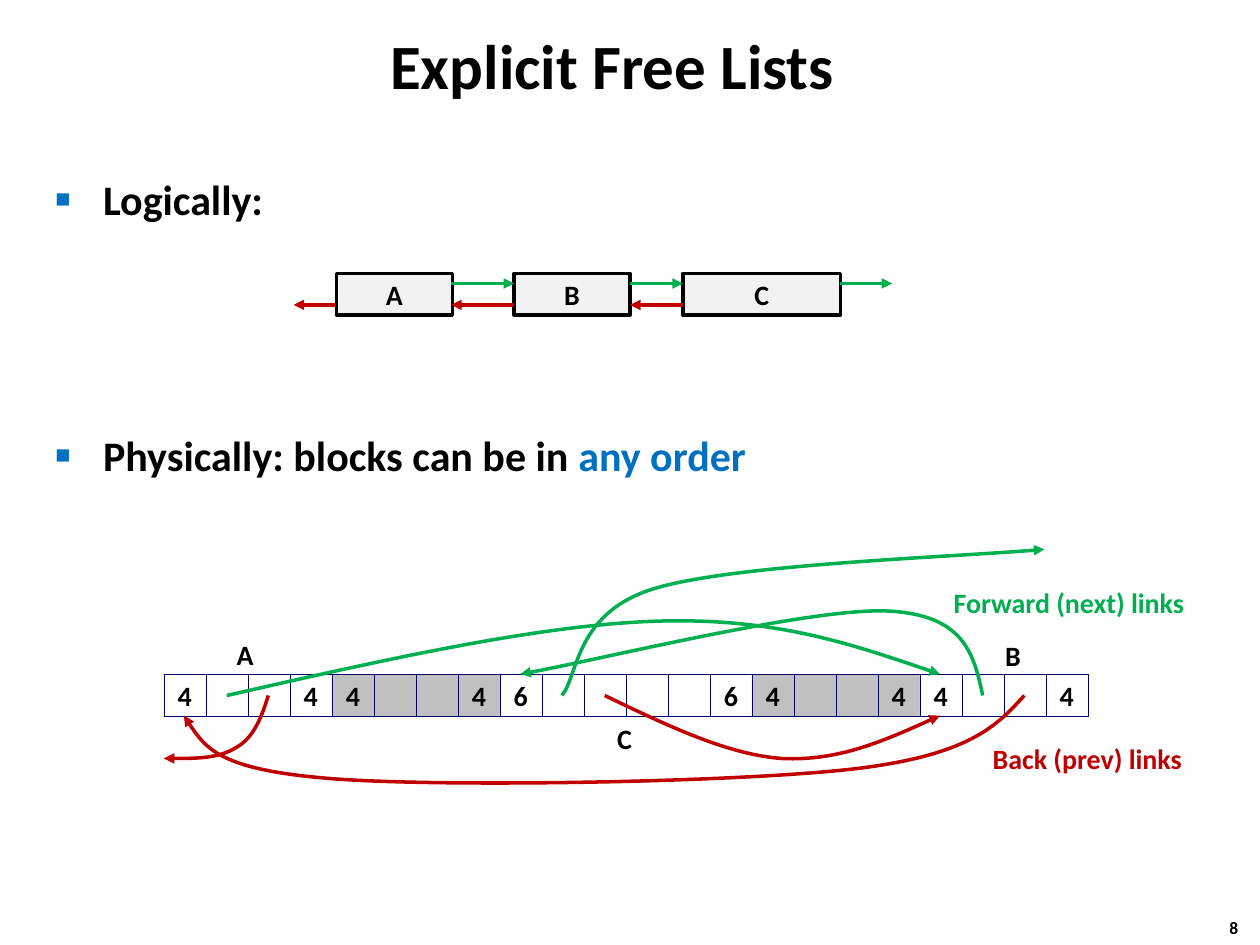
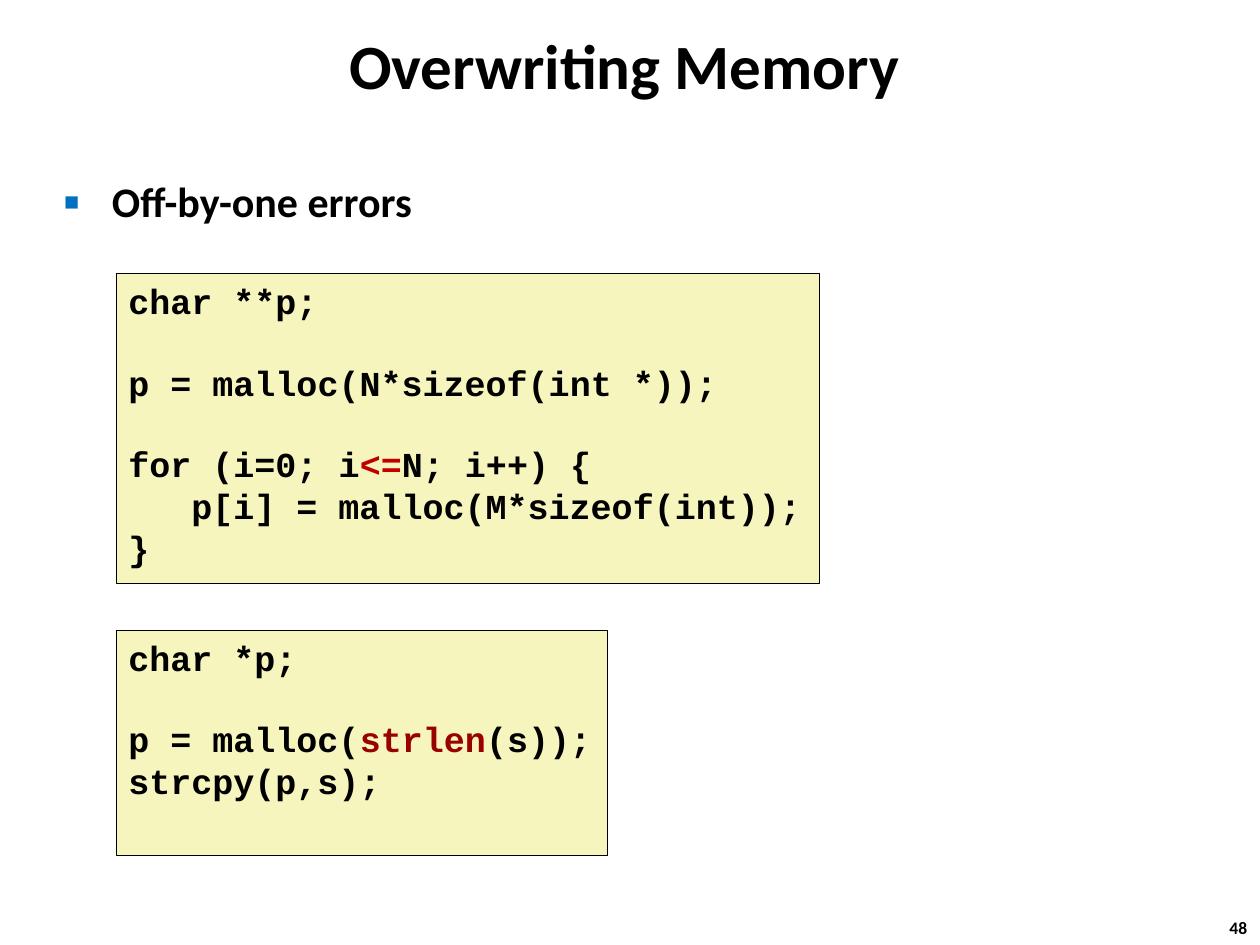
from pptx import Presentation
from pptx.dml.color import RGBColor
from pptx.enum.shapes import MSO_CONNECTOR, MSO_SHAPE
from pptx.enum.text import MSO_ANCHOR, MSO_AUTO_SIZE, PP_ALIGN
from pptx.oxml.ns import qn
from pptx.oxml.xmlchemy import OxmlElement
from pptx.util import Inches, Pt

# Shared look
BLACK, WHITE, BLUE = "000000", "FFFFFF", "0070C0"
GREEN, RED, DARK_RED = "00B050", "C00000", "990000"
PALE, GREY, NAVY, CREAM = "F2F2F2", "C0C0C0", "000066", "F6F5BD"
SANS, MONO = "Calibri", "Courier New"
CODE_GAP = 22.6  # height of one code line, in points


def color(code):
    return RGBColor.from_string(code)


def add_runs(para, runs, size, font=SANS):
    """Add (text, colour) pairs to a paragraph."""
    for text, code in runs:
        run = para.add_run()
        run.text = text
        run.font.name = font
        run.font.size = Pt(size)
        run.font.bold = True
        run.font.color.rgb = color(code)


def add_child(parent, tag, **attrs):
    child = OxmlElement(tag)
    for name, value in attrs.items():
        child.set(name, value)
    parent.append(child)
    return child


# Text elements
def add_title(slide, text, left, top, width, height):
    title = slide.shapes.title
    title.left, title.top = Inches(left), Inches(top)
    title.width, title.height = Inches(width), Inches(height)
    frame = title.text_frame
    frame.auto_size = MSO_AUTO_SIZE.NONE
    frame.vertical_anchor = MSO_ANCHOR.MIDDLE
    para = frame.paragraphs[0]
    para.alignment = PP_ALIGN.CENTER
    para.line_spacing = 0.87
    add_runs(para, [(text, BLACK)], 36)


def add_label(slide, text, left, top, width, code=BLACK, size=16, height=0.37):
    box = slide.shapes.add_textbox(
        Inches(left), Inches(top), Inches(width), Inches(height))
    frame = box.text_frame
    frame.word_wrap = True
    frame.margin_right = 0
    add_runs(frame.paragraphs[0], [(text, code)], size)


def add_bullets(slide, items, left, top, height, spacing, gap=0):
    """Add bulleted lines, with a gap in points between them."""
    box = slide.shapes.add_textbox(
        Inches(left), Inches(top), Inches(9.09), Inches(height))
    frame = box.text_frame
    frame.word_wrap = True
    for i, runs in enumerate(items):
        para = frame.add_paragraph() if i else frame.paragraphs[0]
        para.line_spacing = spacing
        para.space_before = Pt(gap if i else 0)
        props = para._p.get_or_add_pPr()
        props.set("marL", str(Inches(0.38)))
        props.set("indent", str(-Inches(0.38)))
        tint = add_child(props, "a:buClr")
        add_child(tint, "a:srgbClr", val=BLUE)
        add_child(props, "a:buSzPct", val="60000")
        add_child(props, "a:buFont", typeface="Arial")
        add_child(props, "a:buChar", char="■")
        add_runs(para, runs, 24)


# Boxes
def add_box(slide, left, top, width, height, fill, line, weight):
    box = slide.shapes.add_shape(
        MSO_SHAPE.RECTANGLE,
        Inches(left), Inches(top), Inches(width), Inches(height))
    box.shadow.inherit = False
    box.fill.solid()
    box.fill.fore_color.rgb = color(fill)
    box.line.color.rgb = color(line)
    box.line.width = Pt(weight)
    return box


def add_block(slide, text, left, top, width, height, fill, line, weight):
    """Add a box with a centred label."""
    box = add_box(slide, left, top, width, height, fill, line, weight)
    if text:
        frame = box.text_frame
        frame.margin_left = frame.margin_right = 0
        frame.vertical_anchor = MSO_ANCHOR.MIDDLE
        para = frame.paragraphs[0]
        para.alignment = PP_ALIGN.CENTER
        add_runs(para, [(text, BLACK)], 16)


def add_code(slide, lines, top, width, height):
    """Add a code panel from (gap above, indent, runs) lines."""
    box = add_box(slide, 0.92, top, width, height, CREAM, BLACK, 0.25)
    frame = box.text_frame
    frame.word_wrap = True
    frame.margin_right = 0
    frame.vertical_anchor = MSO_ANCHOR.TOP
    for i, (gap, indent, runs) in enumerate(lines):
        para = frame.add_paragraph() if i else frame.paragraphs[0]
        para.alignment = PP_ALIGN.LEFT
        para.space_before = Pt(gap)
        para._p.get_or_add_pPr().set("marL", str(Inches(indent)))
        add_runs(para, runs, 20, MONO)


# Arrows
def style_arrow(arrow, code):
    arrow.line.color.rgb = color(code)
    arrow.line.width = Pt(2)
    add_child(arrow.line._get_or_add_ln(), "a:tailEnd", type="triangle")


def add_arrow(slide, start, end, y, code):
    arrow = slide.shapes.add_connector(
        MSO_CONNECTOR.STRAIGHT,
        Inches(start), Inches(y), Inches(end), Inches(y))
    style_arrow(arrow, code)
    add_child(arrow._element.spPr, "a:effectLst")


def add_curve(slide, code, points):
    """Add a curved arrow: a start, then three points per Bezier piece."""
    spots = [(Inches(x), Inches(y)) for x, y in points]
    form = slide.shapes.build_freeform(*spots[0])
    form.add_line_segments(spots[1:], close=False)
    curve = form.convert_to_shape()
    steps = list(curve._element.iter(qn("a:lnTo")))
    for i in range(0, len(steps), 3):
        piece = OxmlElement("a:cubicBezTo")
        steps[i].addprevious(piece)
        for step in steps[i:i + 3]:
            piece.append(step[0])
            step.getparent().remove(step)
    curve.shadow.inherit = False
    curve.fill.background()
    style_arrow(curve, code)


# Slides
def add_slide(deck, number):
    slide = deck.slides.add_slide(deck.slide_layouts[5])
    add_label(slide, number, 9.66, 7.23, 0.37, size=10, height=0.27)
    return slide


def draw_lists(deck):
    slide = add_slide(deck, "8")
    add_title(slide, "Explicit Free Lists", 1.54, 0.24, 6.64, 0.63)
    add_bullets(slide, [
        [("Logically:", BLACK)],
        [("Physically: blocks can be in ", BLACK), ("any order", BLUE)],
    ], 0.34, 1.39, 2.66, 0.85, gap=121.5)

    # Logical chain
    for name, left, width in (
            ("A", 2.67, 0.92), ("B", 4.08, 0.92), ("C", 5.42, 1.25)):
        add_block(slide, name, left, 2.17, width, 0.33, PALE, BLACK, 2)
    for start, end in ((3.58, 4.08), (5, 5.42), (6.67, 7.08)):
        add_arrow(slide, start, end, 2.25, GREEN)
    for start, end in ((5.42, 5), (4.08, 3.58), (2.67, 2.33)):
        add_arrow(slide, start, end, 2.42, RED)

    # Memory row: each block shows its size in its first and last word
    side = 1 / 3
    left = 1.3
    for size, fill in (
            (4, WHITE), (4, GREY), (6, WHITE), (4, GREY), (4, WHITE)):
        for word in range(size):
            text = str(size) if word in (0, size - 1) else ""
            add_block(slide, text, left, 5.35, side, side, fill, NAVY, 0.25)
            left += side

    # Forward links
    add_curve(slide, GREEN, [
        (1.8, 5.52), (3.03, 5.24), (4.27, 4.96), (5.21, 4.93),
        (6.16, 4.9), (6.81, 5.13), (7.46, 5.35)])
    add_curve(slide, GREEN, [
        (7.8, 5.52), (7.73, 5.2), (7.66, 4.88), (7.05, 4.85),
        (6.44, 4.82), (4.62, 5.27), (4.13, 5.35)])
    add_curve(slide, GREEN, [
        (4.46, 5.52), (4.59, 5.37), (4.56, 4.86), (5.2, 4.67),
        (5.83, 4.48), (7.64, 4.42), (8.29, 4.36)])

    # Back links
    add_curve(slide, RED, [
        (8.13, 5.52), (7.92, 5.75), (7.71, 5.99), (6.8, 6.1),
        (5.88, 6.21), (3.52, 6.25), (2.63, 6.18),
        (1.74, 6.11), (1.6, 5.9), (1.46, 5.68)])
    add_curve(slide, RED, [
        (4.8, 5.52), (5.28, 5.75), (5.77, 5.99), (6.21, 6.02),
        (6.66, 6.04), (7.06, 5.86), (7.46, 5.68)])
    add_curve(slide, RED, [
        (2.13, 5.52), (2.08, 5.68), (2.02, 5.85), (1.88, 5.93),
        (1.74, 6.02), (1.52, 6.02), (1.3, 6.02)])

    # Labels
    add_label(slide, "Forward (next) links", 7.47, 4.6, 2.05, GREEN)
    add_label(slide, "Back (prev) links", 7.78, 5.84, 1.72, RED)
    for name, x, y in (("A", 1.78, 5.01), ("B", 7.88, 5.02), ("C", 4.8, 5.68)):
        add_label(slide, name, x, y, 0.34)


def draw_errors(deck):
    slide = add_slide(deck, "48")
    add_title(slide, "Overwriting Memory", 0.19, 0.12, 9.53, 0.86)
    add_bullets(slide, [[("Off-by-one errors", BLACK)]],
                0.41, 1.37, 5.71, 0.95)

    # Loop that runs once too often
    add_code(slide, [
        (0, 0, [("char **p;", BLACK)]),
        (CODE_GAP, 0, [("p = malloc(N*sizeof(int *));", BLACK)]),
        (CODE_GAP, 0, [("for (i=0; i", BLACK), ("<=", RED),
                       ("N; i++) {", BLACK)]),
        (0, 0.5, [("p[i] = malloc(M*sizeof(int));", BLACK)]),
        (0, 0, [("}", BLACK)]),
    ], 2.17, 5.58, 2.46)

    # String copy without room for the terminator
    add_code(slide, [
        (0, 0, [("char *p;", BLACK)]),
        (CODE_GAP, 0, [("p = malloc(", BLACK), ("strlen", DARK_RED),
                       ("(s));", BLACK)]),
        (0, 0, [("strcpy(p,s);", BLACK)]),
    ], 5, 3.9, 1.79)


def main():
    deck = Presentation()
    deck.slide_width, deck.slide_height = Inches(10), Inches(7.5)
    draw_lists(deck)
    draw_errors(deck)
    deck.save("out.pptx")


if __name__ == "__main__":
    main()
